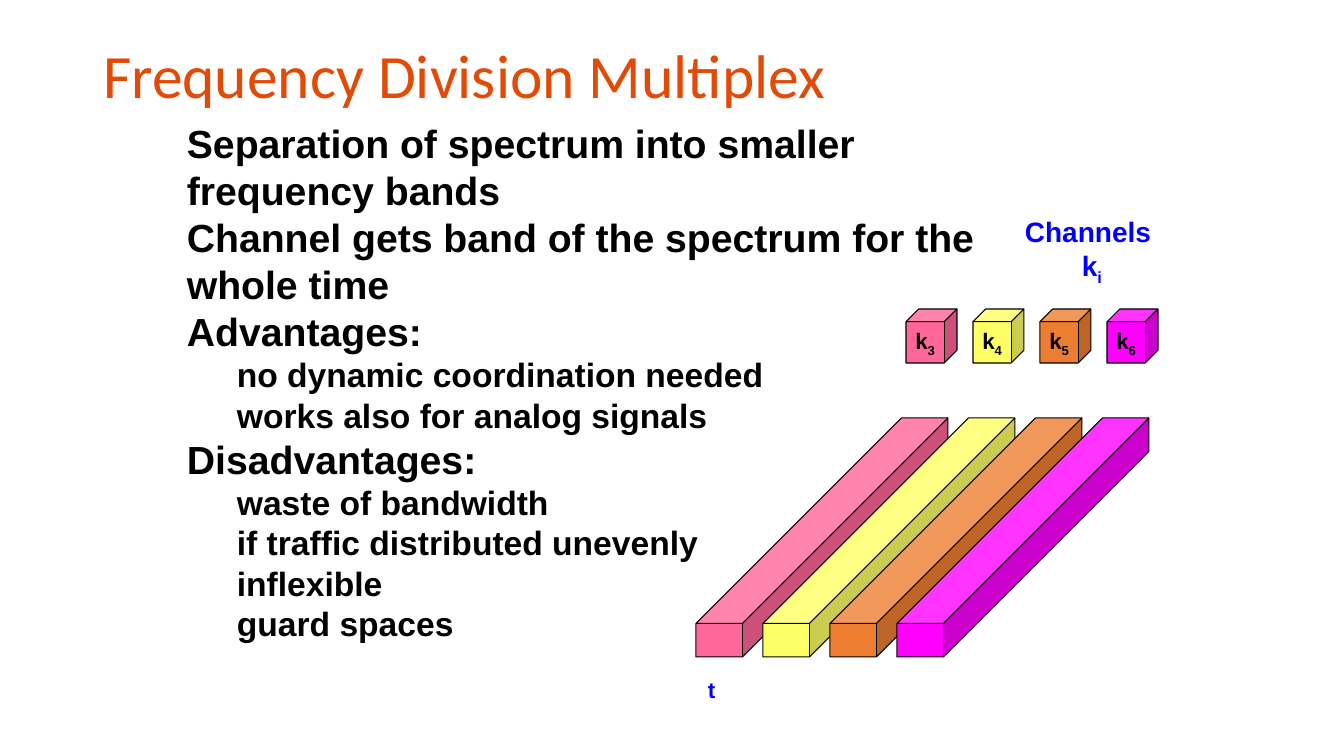
from pptx import Presentation
from pptx.dml.color import RGBColor
from pptx.enum.shapes import MSO_SHAPE
from pptx.enum.text import MSO_ANCHOR, PP_ALIGN
from pptx.util import Emu, Pt

TITLE = "Frequency Division Multiplex"
POINTS = [
    (0, "Separation of spectrum into smaller frequency bands"),
    (0, "Channel gets band of the spectrum for the whole time"),
    (0, "Advantages:"),
    (1, "no dynamic coordination needed"),
    (1, "works also for analog signals"),
    (0, "Disadvantages:"),
    (1, "waste of bandwidth \vif traffic distributed unevenly"),
    (1, "inflexible"),
    (1, "guard spaces"),
]
CHANNELS = [
    ("3", RGBColor(0xFF, 0x66, 0x99)),
    ("4", RGBColor(0xFF, 0xFF, 0x66)),
    ("5", RGBColor(0xED, 0x7D, 0x31)),
    ("6", RGBColor(0xFF, 0x00, 0xFF)),
]
ORANGE = RGBColor(0xE1, 0x4A, 0x07)
BLUE = RGBColor(0x00, 0x00, 0xFF)
BLACK = RGBColor(0x00, 0x00, 0x00)
POINT_SIZES = (28, 24)
CHANNEL_PITCH = 67
LEVEL_INDENT = 50


def px(length):
    """Turn a length in px into EMU."""
    return Emu(round(length * 914400 / 100.8))


def style(para, size, color, name="Arial", bold=True):
    """Format every run of a paragraph."""
    for span in para.runs:
        span.font.size = Pt(size)
        span.font.name = name
        span.font.bold = bold
        span.font.color.rgb = color


def add_subscript(para, text):
    """Append a lowered run to a paragraph."""
    span = para.add_run()
    span.text = text
    span.font._element.set("baseline", "-25000")


def add_text(page, left, top, width, height, wrap=False):
    """Add a text box and return its text frame."""
    frame = page.shapes.add_textbox(*map(px, (left, top, width, height))).text_frame
    frame.word_wrap = wrap
    return frame


def add_cube(page, left, top, width, height, depth, color):
    """Add an outlined cube."""
    cube = page.shapes.add_shape(MSO_SHAPE.CUBE, *map(px, (left, top, width, height)))
    cube.adjustments[0] = depth
    cube.shadow.inherit = False
    cube.fill.solid()
    cube.fill.fore_color.rgb = color
    cube.line.color.rgb = BLACK
    cube.line.width = Pt(0.75)
    return cube


def add_title(page):
    """Place and format the title."""
    title = page.shapes.title
    title.left, title.top, title.width, title.height = map(px, (93, 40, 1159, 146))
    frame = title.text_frame
    frame.text = TITLE
    frame.vertical_anchor = MSO_ANCHOR.TOP
    para = frame.paragraphs[0]
    para.alignment = PP_ALIGN.LEFT
    para.line_spacing = 0.9
    style(para, 44, ORANGE, "Calibri", False)


def add_points(page):
    """Write the two-level list."""
    frame = add_text(page, 177, 114, 847, 587, wrap=True)
    frame.text = "\n".join(text for level, text in POINTS)
    for para, (level, text) in zip(frame.paragraphs, POINTS):
        para.level = level
        para._p.get_or_add_pPr().set("marL", str(px(level * LEVEL_INDENT)))
        style(para, POINT_SIZES[level], BLACK)


def add_labels(page):
    """Write the channel heading and the time label."""
    heading = add_text(page, 1014, 210, 148, 78)
    heading.text = "Channels\n k"
    add_subscript(heading.paragraphs[1], "i")
    for para in heading.paragraphs:
        para.alignment = PP_ALIGN.CENTER
        style(para, 20, BLUE)
    time = add_text(page, 698, 671, 28, 37)
    time.text = "t"
    style(time.paragraphs[0], 16, BLUE)


def add_channels(page):
    """Draw the long bars, then the labelled cubes above them."""
    for index, (number, color) in enumerate(CHANNELS):
        add_cube(page, 696 + index * CHANNEL_PITCH, 418, 252, 239, 0.86, color)
    for index, (number, color) in enumerate(CHANNELS):
        cube = add_cube(page, 906 + index * CHANNEL_PITCH, 309, 51, 54, 0.25, color)
        frame = cube.text_frame
        frame.word_wrap = False
        frame.vertical_anchor = MSO_ANCHOR.MIDDLE
        frame.text = "k"
        para = frame.paragraphs[0]
        para.alignment = PP_ALIGN.CENTER
        add_subscript(para, number)
        style(para, 16, BLACK)


def main():
    """Build the slide and save it."""
    deck = Presentation()
    deck.slide_width, deck.slide_height = px(1344), px(756)
    page = deck.slides.add_slide(deck.slide_layouts[5])
    add_title(page)
    add_points(page)
    add_labels(page)
    add_channels(page)
    deck.save("out.pptx")


if __name__ == "__main__":
    main()
